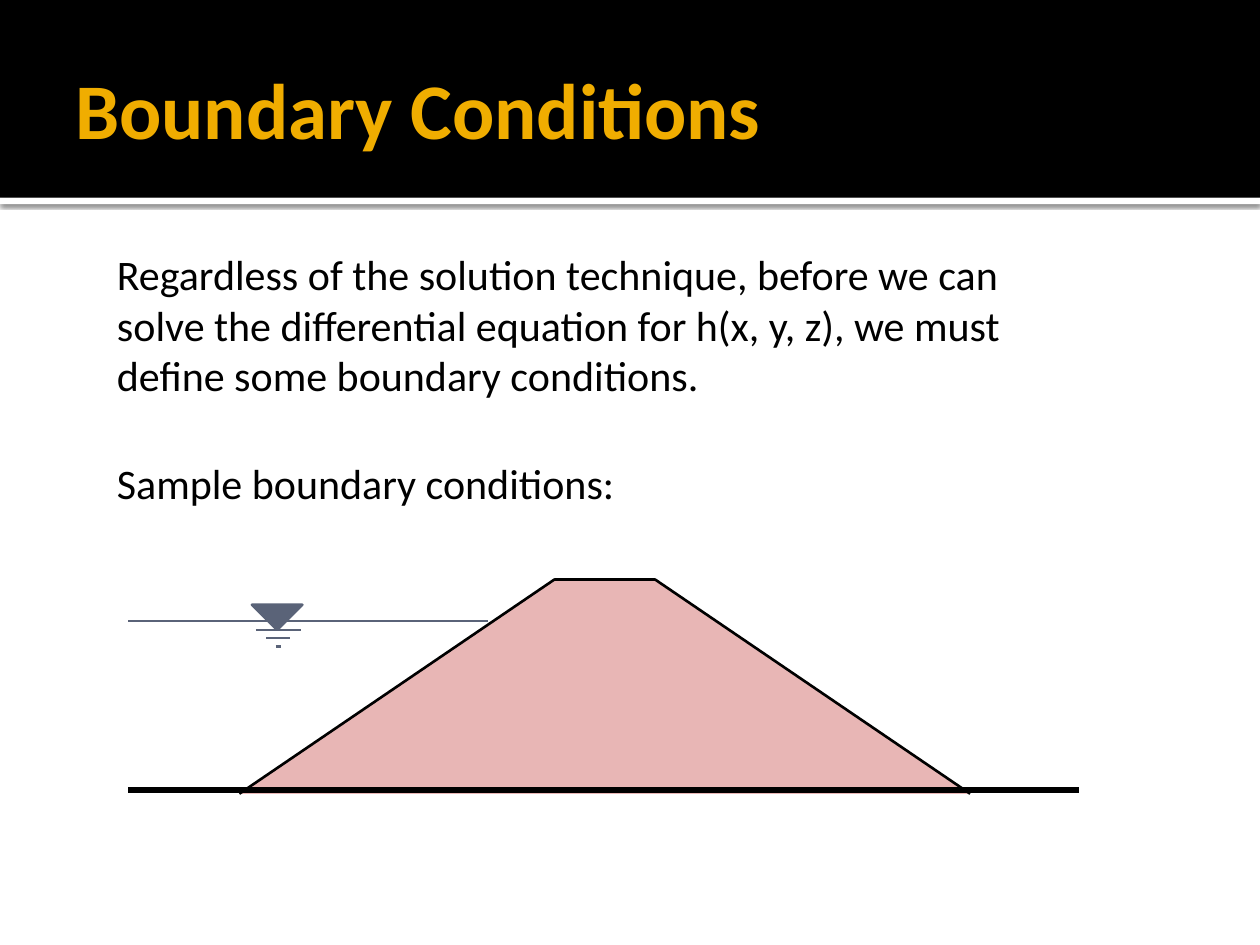
from lxml.etree import SubElement
from pptx import Presentation
from pptx.dml.color import RGBColor
from pptx.enum.shapes import MSO_CONNECTOR as CONNECTOR, MSO_SHAPE as SHAPE
from pptx.enum.text import MSO_ANCHOR as ANCHOR
from pptx.oxml import parse_xml
from pptx.oxml.ns import nsdecls, qn
from pptx.util import Inches, Pt

# Grid of 100 columns by 75 rows
CELL = Inches(0.1)
COLUMNS, ROWS = 100, 75
BLACK, WHITE, GOLD, SLATE, PINK = "000000", "FFFFFF", "F0AD00", "5A6378", "E8B6B5"


def color(hex_value):
    return RGBColor.from_string(hex_value)


def cells(*counts):
    return [round(count * CELL) for count in counts]


prs = Presentation()
prs.slide_width, prs.slide_height = cells(COLUMNS, ROWS)
slide = prs.slides.add_slide(prs.slide_layouts[6])
shapes = slide.shapes

# Header band above a white strip that casts a shadow
header_rows = 15.7
for top, height, fill in [(header_rows, 0.5, WHITE), (0, header_rows, BLACK)]:
    band = shapes.add_shape(SHAPE.RECTANGLE, *cells(0, top, COLUMNS, height))
    band.shadow.inherit = False
    band.fill.solid()
    band.fill.fore_color.rgb = color(fill)
    band.line.fill.background()
    if fill == WHITE:
        band.shadow.inherit = True
        band._element.spPr.append(parse_xml(
            f'<a:effectLst {nsdecls("a")}>'
            f'<a:outerShdw blurRad="{Pt(2.5)}" dist="{Pt(0.8)}" dir="5400000" algn="tl" rotWithShape="0">'
            f'<a:srgbClr val="{BLACK}"><a:alpha val="60000"/></a:srgbClr>'
            '</a:outerShdw></a:effectLst>'))

# Text: area, wording, size, colour, bold, wrap, anchor
statement = ("Regardless of the solution technique, before we can solve the differential "
             "equation for h(x, y, z), we must define some boundary conditions.")
texts = [
    ((5, 1.7, 90, 13.7), "Boundary Conditions", 45, GOLD, True, True, ANCHOR.MIDDLE),
    ((8.3, 19.2, 79.2, 13.1), statement, 24, BLACK, False, True, ANCHOR.MIDDLE),
    ((8.3, 35.8, 42.6, 5), "Sample boundary conditions:", 24, BLACK, False, False, ANCHOR.TOP),
]
for area, wording, size, ink, bold, wrap, anchor in texts:
    frame = shapes.add_textbox(*cells(*area)).text_frame
    frame.text = wording
    frame.word_wrap = wrap
    frame.vertical_anchor = anchor
    font = frame.paragraphs[0].runs[0].font
    font.name, font.size, font.bold = "Calibri", Pt(size), bold
    font.color.rgb = color(ink)

# Dam section and water level mark
dam_top, ground = 45.9, 62.7
dam = [(18.7, ground), (43.7, dam_top), (52.2, dam_top), (77.2, ground)]
mark_center, mark_half, mark_top, water = 22.1, 1.8, 47.7, 49.3
mark = [(mark_center - mark_half, mark_top), (mark_center, 49.5),
        (mark_center + mark_half, mark_top)]

# Outlines: points, closed, fill, line
outlines = [
    (mark, True, SLATE, SLATE),
    (dam, True, PINK, None),
    (dam, False, None, BLACK),
]
for points, closed, fill, ink in outlines:
    builder = shapes.build_freeform(*points[0], scale=CELL)
    builder.add_line_segments(points[1:], close=closed)
    outline = builder.convert_to_shape()
    outline.shadow.inherit = False
    if fill:
        outline.fill.solid()
        outline.fill.fore_color.rgb = color(fill)
    else:
        outline.fill.background()
    if ink:
        outline.line.color.rgb = color(ink)
        outline.line.width = Pt(1.5)
    else:
        outline.line.fill.background()

# Level lines: left, right, row, colour, width
levels = [(mark_center - half, mark_center + half, 50 + 0.65 * step, SLATE, 1.5)
          for step, half in enumerate([mark_half, 0.95, 0.2])]
levels += [(10.2, 38.7, water, SLATE, 1.5), (10.2, 85.6, ground, BLACK, 3.25)]
for left, right, row, ink, width in levels:
    level = shapes.add_connector(CONNECTOR.STRAIGHT, *cells(left, row, right, row))
    level.line.color.rgb = color(ink)
    level.line.width = Pt(width)
    SubElement(level._element.spPr, qn("a:effectLst"))

prs.save("out.pptx")
